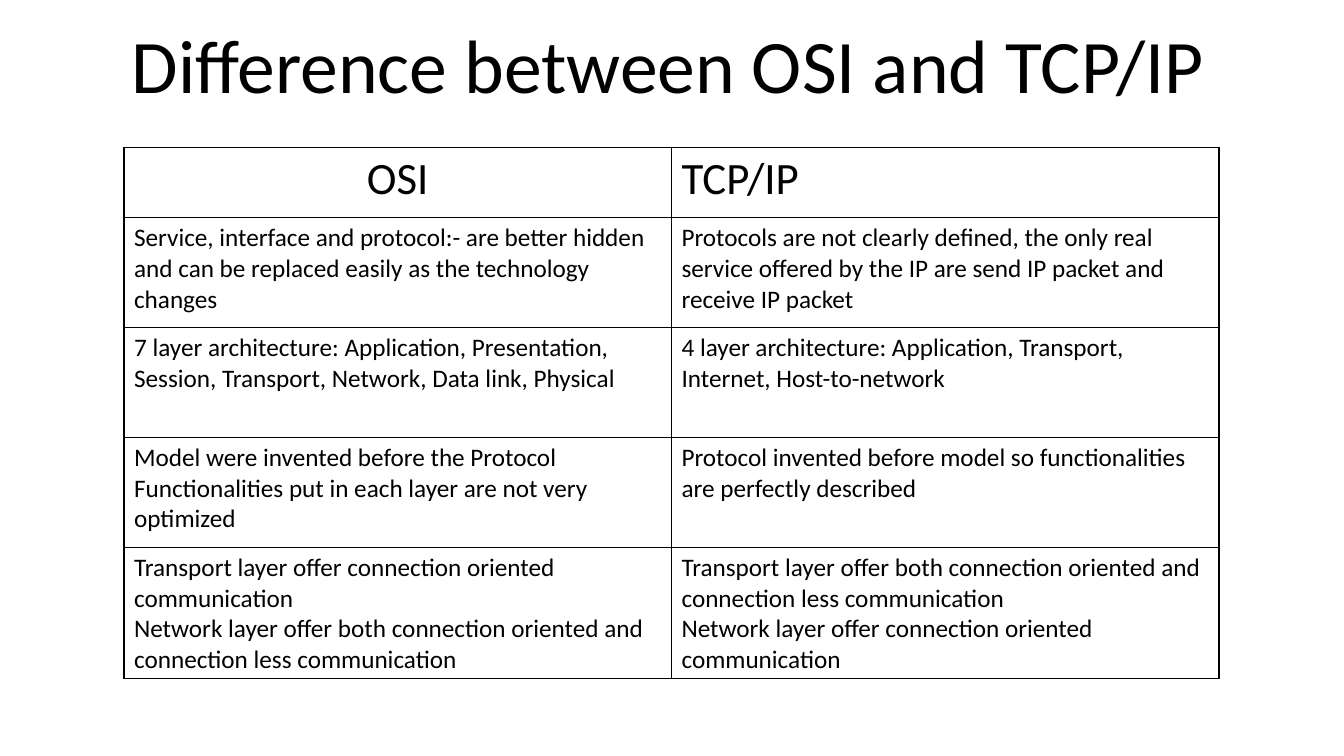
from lxml import etree
from pptx import Presentation
from pptx.dml.color import RGBColor
from pptx.enum.text import MSO_ANCHOR, PP_ALIGN
from pptx.oxml.ns import qn
from pptx.util import Inches, Pt

CENTER, LEFT = PP_ALIGN.CENTER, PP_ALIGN.LEFT
BOTTOM = MSO_ANCHOR.BOTTOM
COLORS = {"text": "000000", "border": "000000", "background": "FFFFFF"}
FONT = "Calibri"
SLIDE_WIDTH, SLIDE_HEIGHT = 13.33, 7.5
COLUMN_WIDTH = 5.43
ROW_HEIGHTS = [0.7, 1.09, 1.09, 1.09, 1.3]
BORDER_WIDTH = Pt(1)

COMPARISON = [
    (["OSI"], ["TCP/IP"]),
    (
        ["Service, interface and protocol:- are better hidden and can be replaced easily as the technology changes"],
        ["Protocols are not clearly defined, the only real service offered by the IP are send IP packet and receive IP packet"],
    ),
    (
        ["7 layer architecture: Application, Presentation, Session, Transport, Network, Data link, Physical"],
        ["4 layer architecture: Application, Transport, Internet, Host-to-network"],
    ),
    (
        ["Model were invented before the Protocol",
         "Functionalities put in each layer are not very optimized"],
        ["Protocol invented before model so functionalities are perfectly described"],
    ),
    (
        ["Transport layer offer connection oriented communication",
         "Network layer offer both connection oriented and connection less communication"],
        ["Transport layer offer both connection oriented and connection less communication",
         "Network layer offer connection oriented communication"],
    ),
]


def write_paragraphs(text_frame, texts, size, alignment):
    text_frame.word_wrap = True
    for index, text in enumerate(texts):
        paragraph = text_frame.add_paragraph() if index else text_frame.paragraphs[0]
        paragraph.alignment = alignment
        run = paragraph.add_run()
        run.text = text
        run.font.name = FONT
        run.font.size = Pt(size)
        run.font.color.rgb = RGBColor.from_string(COLORS["text"])


def style_cell(cell):
    properties = cell._tc.get_or_add_tcPr()
    for side in ("lnL", "lnR", "lnT", "lnB"):
        line = etree.SubElement(properties, qn(f"a:{side}"), w=str(BORDER_WIDTH))
        fill = etree.SubElement(line, qn("a:solidFill"))
        etree.SubElement(fill, qn("a:srgbClr"), val=COLORS["border"])
    cell.fill.solid()
    cell.fill.fore_color.rgb = RGBColor.from_string(COLORS["background"])


presentation = Presentation()
presentation.slide_width = Inches(SLIDE_WIDTH)
presentation.slide_height = Inches(SLIDE_HEIGHT)
slide = presentation.slides.add_slide(presentation.slide_layouts[6])

title = slide.shapes.add_textbox(
    Inches(-0.04), Inches(0.27), Inches(SLIDE_WIDTH), Inches(0.87)
)
title.text_frame.vertical_anchor = BOTTOM
write_paragraphs(title.text_frame, ["Difference between OSI and TCP/IP"], 54, CENTER)
title.text_frame.paragraphs[0].line_spacing = 0.9

table = slide.shapes.add_table(
    len(COMPARISON), 2,
    Inches(1.23), Inches(1.46), Inches(2 * COLUMN_WIDTH), Inches(sum(ROW_HEIGHTS)),
).table
table.first_row = False
table.horz_banding = False
for column in table.columns:
    column.width = Inches(COLUMN_WIDTH)

for row_index, (height, row_texts) in enumerate(zip(ROW_HEIGHTS, COMPARISON)):
    table.rows[row_index].height = Inches(height)
    for column_index, texts in enumerate(row_texts):
        cell = table.cell(row_index, column_index)
        style_cell(cell)
        size = 18 if row_index else 32
        alignment = LEFT if row_index or column_index else CENTER
        write_paragraphs(cell.text_frame, texts, size, alignment)

presentation.save("out.pptx")
